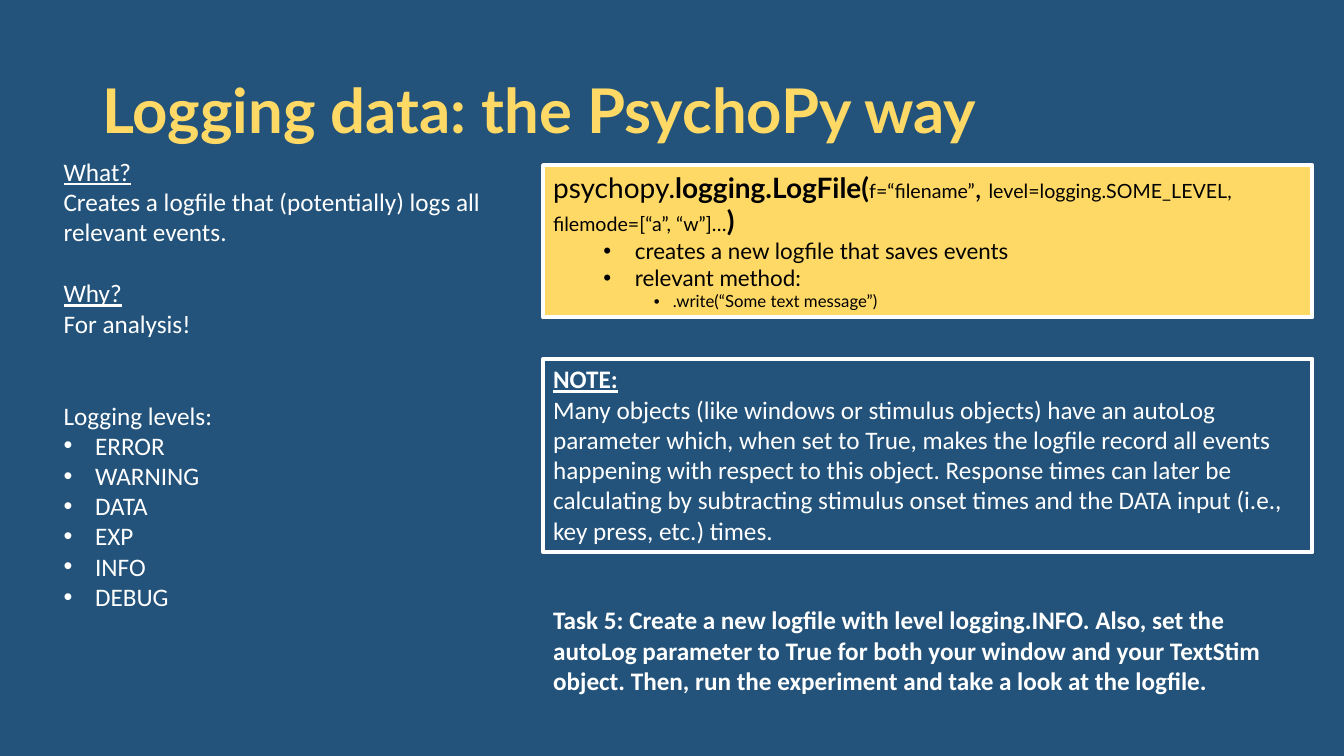
from lxml.etree import SubElement
from pptx import Presentation
from pptx.dml.color import RGBColor as RGB
from pptx.enum.shapes import MSO_SHAPE as Shape
from pptx.enum.text import MSO_ANCHOR as Anchor, MSO_AUTO_SIZE as Fit, PP_ALIGN as Align
from pptx.oxml.ns import qn
from pptx.util import Pt

HUES = {"back": "23537A", "gold": "FFD966", "white": "FFFFFF", "black": "000000"}
BODY = {"name": "Calibri", "size": Pt(18), "bold": False, "underline": False}
CODE = {"name": "Lato", "size": Pt(20), "bold": False}
BOLD = {"bold": True}
HEAD = {"underline": True}
SMALL = {"size": Pt(14)}
LINE = 22  # height of one body line


def hue(name):
    return RGB.from_string(HUES[name])


def add_run(para, text, color, *looks):
    run = para.add_run()
    run.text = text
    for look in looks:
        for key, value in look.items():
            setattr(run.font, key, value)
    run.font.color.rgb = hue(color)


def add_para(frame, gap=0, left=0, hang=0, level=0):
    """Add a paragraph; a hang above zero gives it a bullet."""
    first = frame.paragraphs[0]
    para = frame.add_paragraph() if first.runs else first
    para.level = level
    para.alignment = Align.LEFT
    para.space_before = Pt(gap)
    props = para._p.get_or_add_pPr()
    props.set("marL", str(Pt(left)))
    props.set("indent", str(-Pt(hang)))
    if hang:
        SubElement(props, qn("a:buFont")).set("typeface", "Arial")
        SubElement(props, qn("a:buChar")).set("char", "•")
    else:
        SubElement(props, qn("a:buNone"))
    return para


def place(item, box):
    for key, value in zip(("left", "top", "width", "height"), box):
        setattr(item, key, Pt(value))


def set_frame(item, fit=Fit.NONE, anchor=Anchor.TOP):
    frame = item.text_frame
    looks = {"word_wrap": True, "auto_size": fit, "vertical_anchor": anchor}
    for key, value in looks.items():
        setattr(frame, key, value)
    return frame


def add_panel(slide, box, fill=None):
    """Add a rectangle with a white border and give back its text frame."""
    panel = slide.shapes.add_shape(Shape.RECTANGLE, *map(Pt, box))
    panel.shadow.inherit = False
    if fill:
        panel.fill.solid()
        panel.fill.fore_color.rgb = hue(fill)
    else:
        panel.fill.background()
    panel.line.color.rgb = hue("white")
    panel.line.width = Pt(3)
    return set_frame(panel, Fit.SHAPE_TO_FIT_TEXT)


# Title
def add_title(slide, box):
    title = slide.shapes.title
    place(title, box)
    para = add_para(set_frame(title, anchor=Anchor.MIDDLE))
    para.line_spacing = 0.9
    add_run(para, "Logging data: the PsychoPy way", "gold", CODE, BOLD, {"size": Pt(44)})


# Left column: purpose and logging levels
def add_list(slide, box):
    body = slide.placeholders[1]
    place(body, box)
    frame = set_frame(body)
    intro = (
        ("What?", HEAD, 0),
        ("Creates a logfile that (potentially) logs all relevant events.", {}, 0),
        ("Why?", HEAD, LINE),
        ("For analysis!", {}, 0),
        ("Logging levels:", {}, 2 * LINE),
    )
    for text, look, gap in intro:
        add_run(add_para(frame, gap), text, "white", BODY, look)
    for text in ("ERROR", "WARNING", "DATA", "EXP", "INFO", "DEBUG"):
        add_run(add_para(frame, left=22.5, hang=22.5), text, "white", BODY)


# Gold panel: signature and its notes
def add_code(slide, box):
    frame = add_panel(slide, box, "gold")
    lines = (
        (("psychopy.", {}), ("logging.LogFile(", BOLD), ("f=“filename”", SMALL),
         (", ", {}), ("level=logging.SOME_LEVEL,", SMALL)),
        (("filemode=[“a”, “w”]…", SMALL), (")", BOLD)),
    )
    for line in lines:
        para = add_para(frame)
        for text, look in line:
            add_run(para, text, "black", CODE, look)
    points = (
        ("creates a new logfile that saves events", 1, 16, 58.5, 22.5),
        ("relevant method:", 1, 16, 58.5, 22.5),
        (".write(“Some text message”)", 2, 12, 85.5, 13.5),
    )
    for text, level, size, left, hang in points:
        para = add_para(frame, 0, left, hang, level)
        add_run(para, text, "black", CODE, {"size": Pt(size)})


# Outlined panel: note on autoLog
def add_note(slide, box):
    frame = add_panel(slide, box)
    add_run(add_para(frame), "NOTE:", "white", BODY, BOLD, HEAD)
    add_run(add_para(frame),
            "Many objects (like windows or stimulus objects) have an autoLog parameter "
            "which, when set to True, makes the logfile record all events happening with "
            "respect to this object. Response times can later be calculating by "
            "subtracting stimulus onset times and the DATA input (i.e., key press, etc.) "
            "times.", "white", BODY)


# Task text
def add_task(slide, box):
    frame = set_frame(slide.shapes.add_textbox(*map(Pt, box)), Fit.SHAPE_TO_FIT_TEXT)
    add_run(add_para(frame),
            "Task 5: Create a new logfile with level logging.INFO. Also, set the autoLog "
            "parameter to True for both your window and your TextStim object. Then, run "
            "the experiment and take a look at the logfile.", "white", BODY, BOLD)


def main():
    deck = Presentation()
    deck.slide_width, deck.slide_height = Pt(960), Pt(540)
    slide = deck.slides.add_slide(deck.slide_layouts[1])
    back = slide.background.fill
    back.solid()
    back.fore_color.rgb = hue("back")

    add_title(slide, (66, 28.8, 828, 104.4))
    add_list(slide, (38.2, 108, 331.2, 292.3))
    left, width = 388, 549.4
    rows = ((add_code, 118, 108.7), (add_note, 256.3, 138.2), (add_task, 428.4, 72.7))
    for draw, top, height in rows:
        draw(slide, (left, top, width, height))
    deck.save("out.pptx")


if __name__ == "__main__":
    main()
